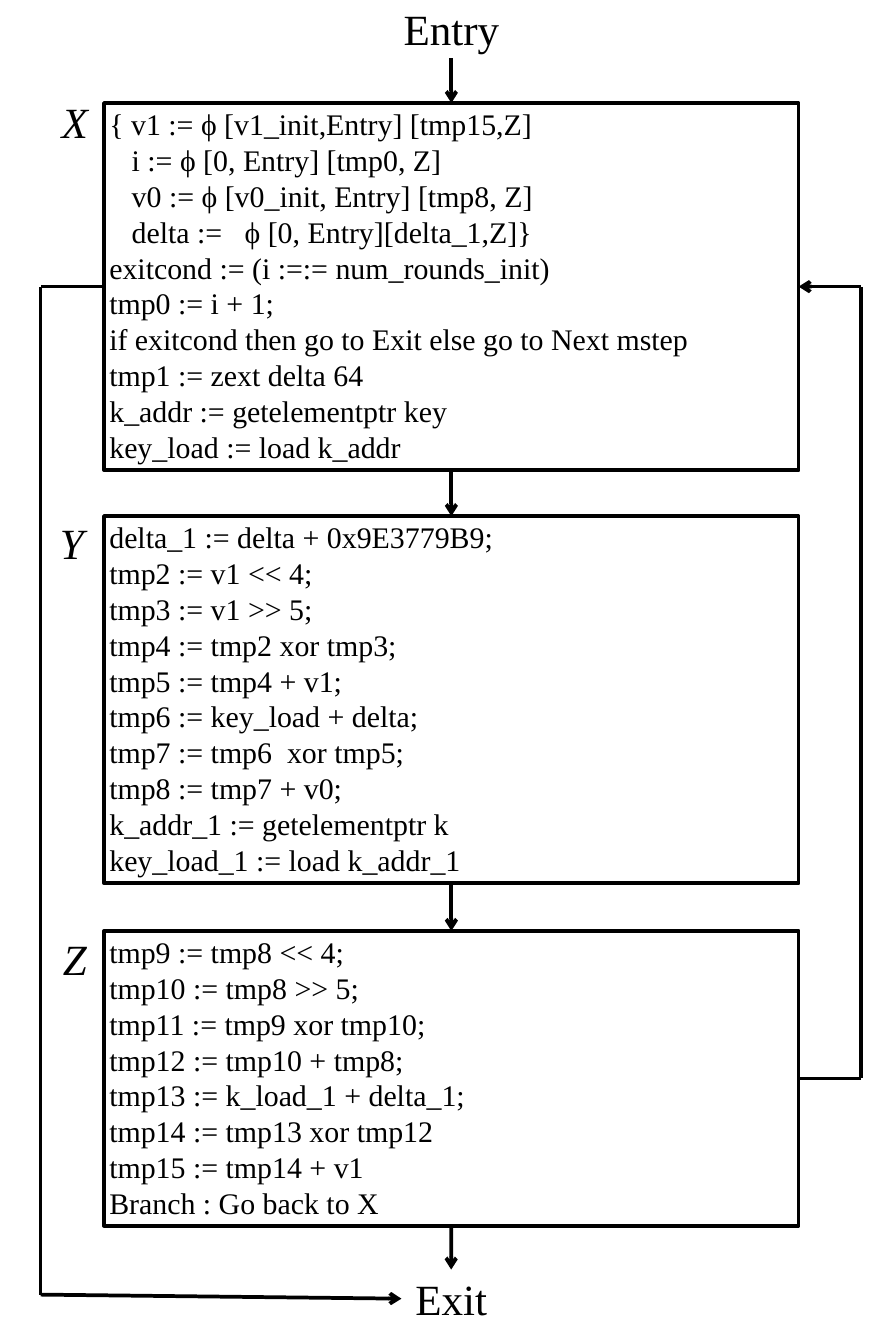
from dataclasses import dataclass
from itertools import pairwise

from lxml.etree import SubElement
from pptx import Presentation
from pptx.dml.color import RGBColor
from pptx.enum.shapes import MSO_CONNECTOR, MSO_SHAPE
from pptx.enum.text import MSO_ANCHOR, MSO_AUTO_SIZE, PP_ALIGN
from pptx.oxml.ns import qn
from pptx.shapes.autoshape import Shape
from pptx.slide import Slide
from pptx.util import Cm, Pt

FONT = "Times New Roman"
INK = "000000"
CODE_SIZE, LABEL_SIZE = 24, 34.6
LABEL_HEIGHT = 1.65
BLOCK_LEFT, BLOCK_WIDTH = 2.95, 19.69
LEFT_RAIL, RIGHT_RAIL = 1.15, 24.4
EXIT_TURN = 36.7
TOP, LEFT, BOTTOM, RIGHT = range(4)


@dataclass
class Label:
    text: str
    left: float
    top: float
    width: float


@dataclass
class Block:
    label: Label
    top: float
    height: float
    code: list[str]


@dataclass
class Joint:
    """The middle of one side of a box."""
    box: Shape
    side: int

    def point(self) -> tuple[int, int]:
        across = {LEFT: 0, RIGHT: 2}.get(self.side, 1)
        down = {TOP: 0, BOTTOM: 2}.get(self.side, 1)
        return (self.box.left + self.box.width * across // 2,
                self.box.top + self.box.height * down // 2)


ENTRY = Label("Entry", 11.18, 0, 3.23)
EXIT = Label("Exit", 11.38, 35.99, 2.82)
BLOCKS = [
    Block(Label("X", 1.6, 2.62, 1.7), 2.92, 10.41, [
        "{ v1 := ϕ [v1_init,Entry] [tmp15,Z]",
        "   i := ϕ [0, Entry] [tmp0, Z]",
        "   v0 := ϕ [v0_init, Entry] [tmp8, Z]",
        "   delta :=   ϕ [0, Entry][delta_1,Z]}",
        "exitcond := (i :=:= num_rounds_init)",
        "tmp0 := i + 1;",
        "if exitcond then go to Exit else go to Next mstep",
        "tmp1 := zext delta 64",
        "k_addr := getelementptr key",
        "key_load := load k_addr",
    ]),
    Block(Label("Y", 1.55, 14.55, 1.7), 14.63, 10.41, [
        "delta_1 := delta + 0x9E3779B9;",
        "tmp2 := v1 << 4;",
        "tmp3 := v1 >> 5;",
        "tmp4 := tmp2 xor tmp3;",
        "tmp5 := tmp4 + v1;",
        "tmp6 := key_load + delta;",
        "tmp7 := tmp6  xor tmp5;",
        "tmp8 := tmp7 + v0;",
        "k_addr_1 := getelementptr k",
        "key_load_1 := load k_addr_1",
    ]),
    Block(Label("Z", 1.63, 26.34, 1.52), 26.39, 8.36, [
        "tmp9 := tmp8 << 4;",
        "tmp10 := tmp8 >> 5;",
        "tmp11 := tmp9 xor tmp10;",
        "tmp12 := tmp10 + tmp8;",
        "tmp13 := k_load_1 + delta_1;",
        "tmp14 := tmp13 xor tmp12",
        "tmp15 := tmp14 + v1",
        "Branch : Go back to X",
    ]),
]


def color(value: str) -> RGBColor:
    return RGBColor.from_string(value)


def write(box: Shape, lines: list[str], size: float,
          align: PP_ALIGN = PP_ALIGN.LEFT, italic: bool = False) -> None:
    frame = box.text_frame
    frame.word_wrap = True
    frame.auto_size = MSO_AUTO_SIZE.SHAPE_TO_FIT_TEXT
    frame.vertical_anchor = MSO_ANCHOR.TOP
    frame.margin_left = frame.margin_right = Cm(0.15)
    frame.margin_top = frame.margin_bottom = Cm(0.08)
    for index, line in enumerate(lines):
        para = frame.add_paragraph() if index else frame.paragraphs[0]
        para.alignment = align
        span = para.add_run()
        span.text = line
        span.font.name = FONT
        span.font.size = Pt(size)
        span.font.italic = italic
        span.font.color.rgb = color(INK)


def draw_label(page: Slide, label: Label, align: PP_ALIGN = PP_ALIGN.CENTER,
               italic: bool = False) -> Shape:
    box = page.shapes.add_textbox(Cm(label.left), Cm(label.top),
                                  Cm(label.width), Cm(LABEL_HEIGHT))
    write(box, [label.text], LABEL_SIZE, align, italic)
    return box


def draw_block(page: Slide, block: Block) -> Shape:
    box = page.shapes.add_shape(MSO_SHAPE.RECTANGLE, Cm(BLOCK_LEFT), Cm(block.top),
                                Cm(BLOCK_WIDTH), Cm(block.height))
    box.shadow.inherit = False
    box.fill.background()
    box.line.color.rgb = color(INK)
    box.line.width = Pt(3)
    write(box, block.code, CODE_SIZE)
    draw_label(page, block.label, PP_ALIGN.LEFT, italic=True)
    return box


def draw_route(page: Slide, start: Joint, end: Joint,
               bends: list[tuple[int, int]]) -> None:
    """Draw straight legs from start to end, with an arrowhead on the last."""
    legs = []
    for begin, stop in pairwise([start.point(), *bends, end.point()]):
        leg = page.shapes.add_connector(MSO_CONNECTOR.STRAIGHT, *begin, *stop)
        leg.line.color.rgb = color(INK)
        leg.line.width = Pt(3)
        SubElement(leg._element.spPr, qn("a:effectLst"))
        legs.append(leg)
    legs[0].begin_connect(start.box, start.side)
    legs[-1].end_connect(end.box, end.side)
    SubElement(legs[-1].line._get_or_add_ln(), qn("a:tailEnd"), type="arrow")


def main() -> None:
    deck = Presentation()
    deck.slide_width, deck.slide_height = Cm(25.4), Cm(38.1)
    page = deck.slides.add_slide(deck.slide_layouts[6])

    entry_box = draw_label(page, ENTRY)
    exit_box = draw_label(page, EXIT)
    block_boxes = [draw_block(page, block) for block in BLOCKS]

    for upper, lower in pairwise([entry_box, *block_boxes, exit_box]):
        draw_route(page, Joint(upper, BOTTOM), Joint(lower, TOP), [])

    first, last = block_boxes[0], block_boxes[-1]
    leave = Joint(first, LEFT)
    draw_route(page, leave, Joint(exit_box, LEFT),
               [(Cm(LEFT_RAIL), leave.point()[1]), (Cm(LEFT_RAIL), Cm(EXIT_TURN))])
    repeat, head = Joint(last, RIGHT), Joint(first, RIGHT)
    draw_route(page, repeat, head,
               [(Cm(RIGHT_RAIL), joint.point()[1]) for joint in (repeat, head)])

    deck.save("out.pptx")


if __name__ == "__main__":
    main()
